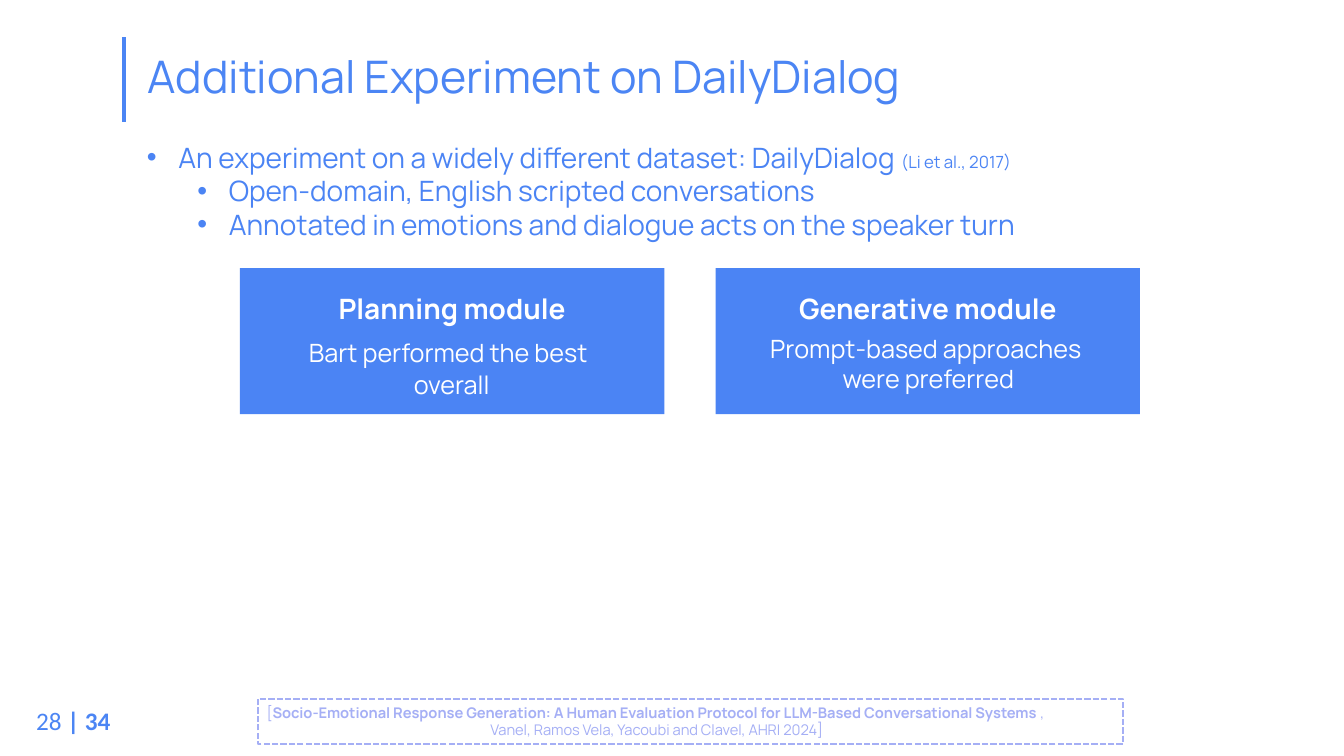
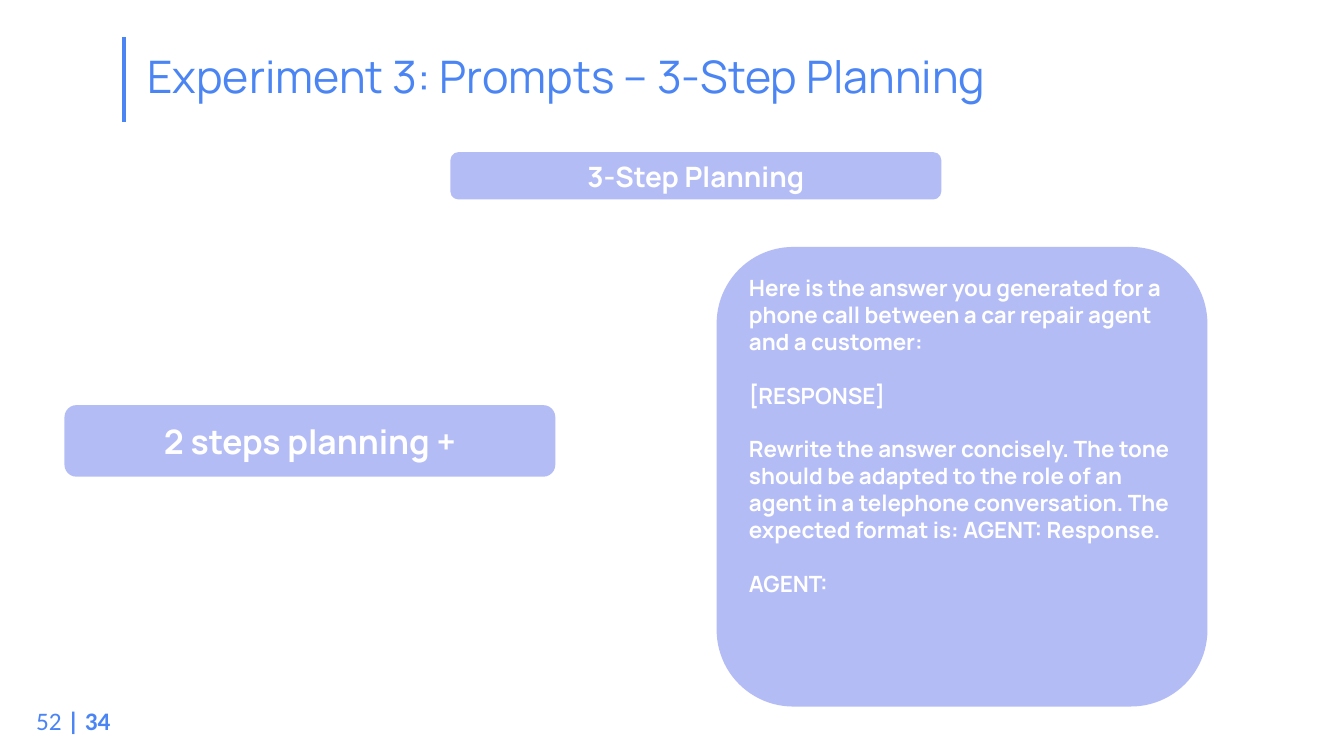
from pptx import Presentation
from pptx.dml.color import RGBColor
from pptx.enum.dml import MSO_LINE
from pptx.enum.shapes import MSO_CONNECTOR, MSO_SHAPE
from pptx.enum.text import MSO_ANCHOR, MSO_AUTO_SIZE, PP_ALIGN
from pptx.oxml.ns import qn
from pptx.util import Pt
from lxml import etree

# Shared look
BLUE, DEEP, LILAC, WHITE = "4B85F4", "4B84F4", "A5AFF5", "FFFFFF"
FONT = "Manrope"
TOTAL = "| 34"
TOP, MID = MSO_ANCHOR.TOP, MSO_ANCHOR.MIDDLE
LEFT, MIDDLE = PP_ALIGN.LEFT, PP_ALIGN.CENTER
RECT, ROUND = MSO_SHAPE.RECTANGLE, MSO_SHAPE.ROUNDED_RECTANGLE
BOLD = {"bold": True}
BREAK = None

# Slide 1: a paragraph is a list of (text, format) runs
TITLE1 = "Additional Experiment on DailyDialog"
POINTS = [
    (0, [("An experiment on a widely different dataset: DailyDialog ", {}),
         ("(Li et al., 2017)", {"size": 12})]),
    (1, [("Open-domain, English scripted conversations", {})]),
    (1, [("Annotated in emotions and dialogue acts on the speaker turn", {})]),
]
CARDS = [
    ("Planning module", (203.8, 231.1, 237.6, 58.3),
     [("Bart performed the best", {}), (" ", {"size": 24}), BREAK,
      ("overall", {})]),
    ("Generative module", (528.5, 234.7, 269.3, 51.1),
     [("Prompt-based approaches ", {}), BREAK, ("were preferred", {})]),
]
CITE = [
    [("[", {}),
     ("Socio-Emotional Response Generation: A Human Evaluation Protocol "
      "for LLM-Based Conversational Systems ", BOLD), (", ", {})],
    [("Vanel, Ramos Vela, Yacoubi and Clavel, AHRI 2024]", {})],
]

# Slide 2: left, top, height, size, anchor, alignment, paragraphs
TITLE2 = "Experiment 3: Prompts – 3-Step Planning"
STEPS = [
    (321.8, 108.7, 33.8, 20, TOP, MIDDLE, ["3-Step Planning"]),
    (46.1, 289.4, 51.1, 24, MID, MIDDLE, ["2 steps planning +"]),
    (511.9, 176.4, 328.3, 16, TOP, LEFT, [
        "Here is the answer you generated for a phone call between a car "
        "repair agent and a customer:",
        "[RESPONSE]",
        "Rewrite the answer concisely. The tone should be adapted to the "
        "role of an agent in a telephone conversation. The expected format "
        "is: AGENT: Response.",
        "AGENT:",
    ]),
]


def rgb(code):
    return RGBColor.from_string(code)


def put(item, vals):
    for key, val in vals.items():
        setattr(item, key, val)


def style(run, look):
    look = dict(look)
    run.font.color.rgb = rgb(look.pop("color"))
    put(run.font, {**look, "size": Pt(look["size"])})


def write(shape, paras, size, color, align=LEFT, anchor=TOP, gap=0, **more):
    """Fill a shape with paragraphs of runs."""
    frame = shape.text_frame
    put(frame, {"word_wrap": True, "vertical_anchor": anchor,
                "auto_size": MSO_AUTO_SIZE.NONE})
    base = {"name": FONT, "size": size, "color": color, "bold": False, **more}
    for i, runs in enumerate(paras):
        para = frame.add_paragraph() if i else frame.paragraphs[0]
        put(para, {"alignment": align, "space_before": Pt(gap if i else 0)})
        for part in runs:
            if part is BREAK:
                para.add_line_break()
                continue
            run = para.add_run()
            run.text = part[0]
            style(run, {**base, **part[1]})
    return frame


def text(slide, box, *args, **more):
    return write(slide.shapes.add_textbox(*map(Pt, box)), *args, **more)


def block(slide, kind, box, fill=None, alpha=None):
    """Add a flat shape without an outline."""
    shape = slide.shapes.add_shape(kind, *map(Pt, box))
    shape.shadow.inherit = False
    shape.line.fill.background()
    if fill:
        shape.fill.solid()
        shape.fill.fore_color.rgb = rgb(fill)
    else:
        shape.fill.background()
    if alpha:
        tint = shape._element.spPr.find(".//" + qn("a:srgbClr"))
        etree.SubElement(tint, qn("a:alpha")).set("val", str(alpha * 1000))
    return shape


def bullet(para, level):
    prop = para._p.get_or_add_pPr()
    prop.set("marL", str(Pt(22.5 + 36 * level)))
    prop.set("indent", str(-Pt(22.5)))
    prop.set("lvl", str(level))
    etree.SubElement(prop, qn("a:buFont")).set("typeface", "Arial")
    etree.SubElement(prop, qn("a:buChar")).set("char", "•")


def start(deck, name, page):
    """Add a slide with its title, rule and page number."""
    slide = deck.slides.add_slide(deck.slide_layouts[5])
    title = slide.shapes.title
    put(title, dict(zip(("left", "top", "width", "height"),
                        map(Pt, (97.9, 4.3, 828, 104.4)))))
    frame = write(title, [[(name, {})]], 32, BLUE, anchor=MID)
    frame.paragraphs[0].line_spacing = 0.9
    rule = slide.shapes.add_connector(
        MSO_CONNECTOR.STRAIGHT, *map(Pt, (88.6, 26.6, 88.6, 87.1)))
    rule.line.color.rgb = rgb(BLUE)
    rule.line.width = Pt(2.25)
    etree.SubElement(rule._element.spPr, qn("a:effectLst"))
    text(slide, (18.7, 500.4, 80, 28.8),
         [[(f"{page} ", {}), (TOTAL, BOLD)]], 18, BLUE, name="Calibri")
    return slide


def daily(deck):
    slide = start(deck, TITLE1, 28)
    # Bullets
    frame = text(slide, (97.9, 96.5, 777.6, 79.9),
                 [runs for _, runs in POINTS], 20, DEEP)
    for para, (level, _) in zip(frame.paragraphs, POINTS):
        bullet(para, level)
    # Module cards
    for i, (head, box, note) in enumerate(CARDS):
        card = block(slide, RECT, (171.4 + 339.8 * i, 191.5, 303.1, 104.4),
                     DEEP)
        frame = write(card, [[(head, BOLD)]], 20, WHITE, MIDDLE)
        frame.margin_top = Pt(16.6)
        text(slide, box, [note], 18, WHITE, MIDDLE)
    # Citation, set towards the left of its frame
    cite = block(slide, RECT, (184.3, 499, 617.8, 32.4))
    cite.line.color.rgb = rgb(LILAC)
    put(cite.line, {"width": Pt(1.5), "dash_style": MSO_LINE.SQUARE_DOT})
    frame = write(cite, CITE, 10.5, LILAC, MIDDLE)
    put(frame, {"margin_left": 0, "margin_right": Pt(48)})


def prompts(deck):
    slide = start(deck, TITLE2, 52)
    # Prompt boxes, with one line between paragraphs
    for left, top, high, size, anchor, align, paras in STEPS:
        box = block(slide, ROUND, (left, top, 350.6, high), LILAC, 83)
        write(box, [[(para, BOLD)] for para in paras], size, WHITE, align,
              anchor, gap=1.2 * size)


def main():
    deck = Presentation()
    put(deck, {"slide_width": Pt(960), "slide_height": Pt(540)})
    daily(deck)
    prompts(deck)
    deck.save("out.pptx")


if __name__ == "__main__":
    main()
